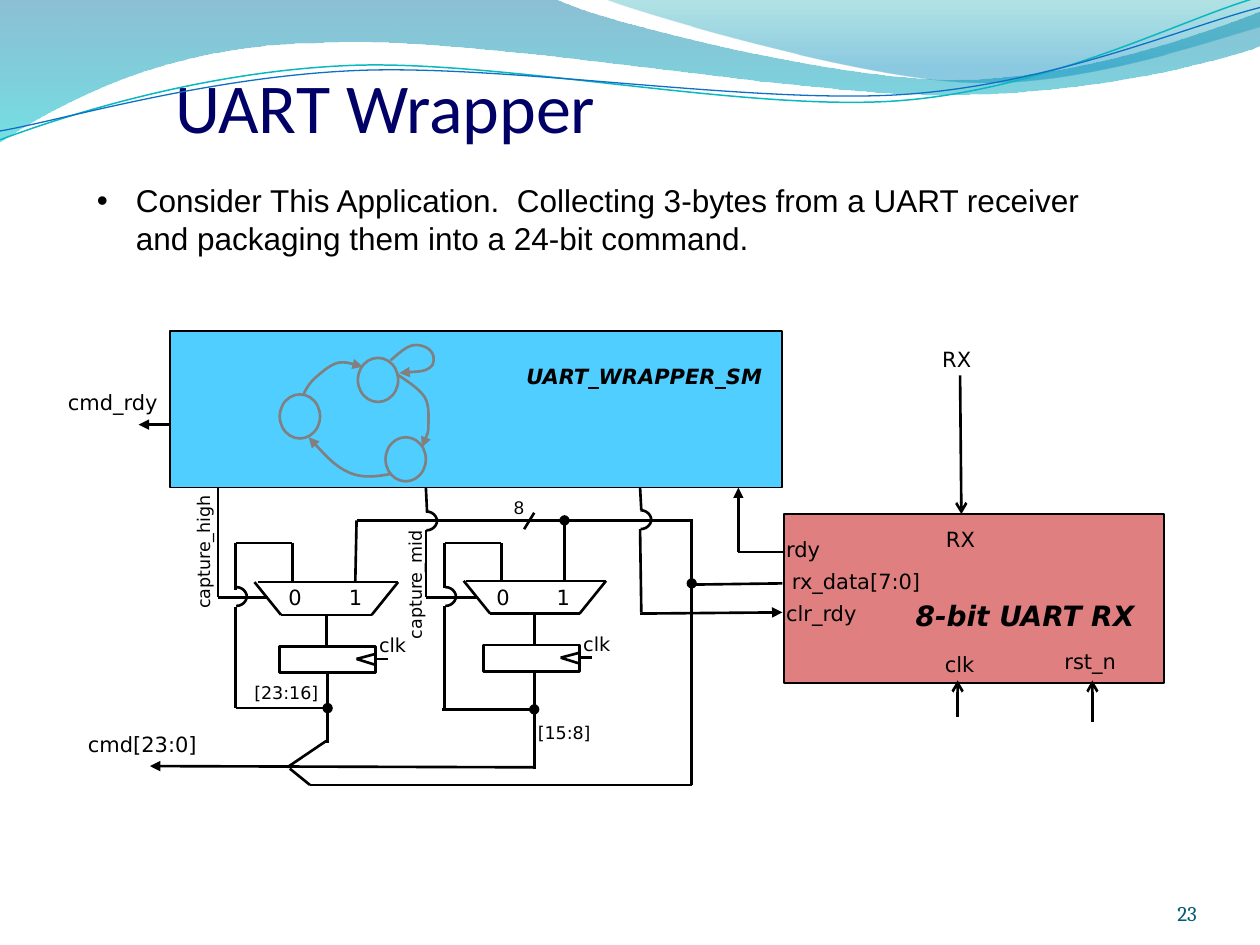
import math
import pptx
import pptx.util
import pptx.dml.color
import pptx.enum.shapes
import pptx.enum.text
from lxml import etree

SHAPE = pptx.enum.shapes.MSO_SHAPE
ALIGN = pptx.enum.text.PP_ALIGN
ANCHOR = pptx.enum.text.MSO_ANCHOR
AUTO = pptx.enum.text.MSO_AUTO_SIZE
NS = "http://schemas.openxmlformats.org/drawingml/2006/main"
BLACK, GREY = "000000", "808080"
SANS = "DejaVu Sans"

# Content: header waves as start point and Bezier triples (a single point is a straight edge)
BANDS = [
    ((0, -0.01), [[(4.4, -0.01)],
     [(4.76, 0.17), (6.64, 0.63), (7.58, 0.63)], [(8.53, 0.63), (9.58, 0.26), (10, 0.09)],
     [(10.01, 0.36)], [(9.83, 0.44), (8.7, 0.76), (7.46, 0.75)],
     [(6.22, 0.75), (3.82, 0.28), (2.57, 0.34)], [(1.29, 0.35), (0.46, 0.83), (-0.01, 1.13)],
     [(0, -0.01)]], [(0, "0074A1", 45), (1, "00C6CF", 55)]),
    ((4.79, -0.01), [[(5.09, 0.11), (6.82, 0.62), (7.69, 0.65)],
     [(8.56, 0.69), (9.61, 0.32), (10, 0.21)], [(10, 0)], [(4.79, -0.01)]],
     [(0, "00A1A9", 30), (0.8, "008BBF", 45)]),
]
WAVE_TURN = -2.7
WAVES = [
    ((0, 1.11), [[(0.48, 0.93), (1.58, 0.57), (2.77, 0.52)], [(3.95, 0.47), (5.93, 0.89), (7.13, 0.8)],
     [(8.33, 0.71), (9.38, 0.15), (9.98, -0.02)]], (4.99, 0.57), "0AB8BF", 0.85),
    ((0, 1.04), [[(0.47, 0.96), (1.64, 0.61), (2.83, 0.56)], [(4.03, 0.51), (5.97, 0.83), (7.17, 0.75)],
     [(8.36, 0.67), (9.41, 0.21), (10, 0.06)]], (5, 0.59), "0F6FC6", 0.75),
]

# Content: state machine
STATES = [(2.22, 3.13), (2.84, 2.84), (3.06, 3.47)]
TRANSITIONS = [
    ((2.41, 3.13), [[(2.43, 3.08), (2.46, 3.04), (2.5, 3)], [(2.55, 2.96), (2.61, 2.9), (2.68, 2.88)],
                    [(2.74, 2.87), (2.81, 2.89), (2.88, 2.91)]]),
    ((3.15, 2.97), [[(3.24, 3.03), (3.32, 3.08), (3.37, 3.15)], [(3.41, 3.22), (3.4, 3.31), (3.4, 3.38)],
                    [(3.4, 3.44), (3.36, 3.52), (3.35, 3.55)]]),
    ((3.1, 2.86), [[(3.16, 2.81), (3.22, 2.75), (3.28, 2.74)], [(3.34, 2.73), (3.41, 2.76), (3.43, 2.8)],
                   [(3.45, 2.83), (3.45, 2.9), (3.41, 2.92)], [(3.37, 2.95), (3.27, 2.95), (3.17, 2.96)]]),
    ((3.11, 3.76), [[(3, 3.78), (2.88, 3.8), (2.77, 3.75)], [(2.66, 3.7), (2.56, 3.59), (2.45, 3.47)]]),
]

# Content: labels as text, box, format
BOLD = dict(bold=True, italic=True)
LABELS = [
    ("rdy", (6.14, 4.21, 0.48, 0.3), {}),
    ("rx_data[7:0]", (6.14, 4.46, 1.31, 0.3), dict(align=ALIGN.CENTER)),
    ("clr_rdy", (6.14, 4.72, 0.82, 0.3), {}),
    ("8-bit UART RX", (7.14, 4.7, 1.99, 0.37), dict(size=16, align=ALIGN.CENTER, **BOLD)),
    ("RX", (7.41, 4.13, 0.44, 0.3), {}),
    ("RX", (7.38, 2.7, 0.44, 0.3), {}),
    ("rst_n", (8.35, 5.1, 0.64, 0.3), {}),
    ("clk", (7.4, 5.12, 0.44, 0.3), {}),
    ("UART_WRAPPER_SM", (4.08, 2.84, 2.18, 0.3), BOLD),
    ("8", (3.98, 3.89, 0.3, 0.28), dict(size=10.5, font="Arial")),
    ("cmd_rdy", (0.44, 3.04, 0.97, 0.3), {}),
    ("cmd[23:0]", (0.6, 5.76, 1.14, 0.3), {}),
    ("[23:16]", (1.92, 5.36, 0.75, 0.27), dict(size=10)),
    ("[15:8]", (4.17, 5.68, 0.66, 0.27), dict(size=10)),
    ("capture_high", (1.05, 4.23, 1.13, 0.27), dict(size=10, turn=270)),
    ("capture_mid", (2.75, 4.49, 1.09, 0.27), dict(size=10, turn=270)),
]

# Content: wires as x1, y1, x2, y2, start end mark, finish end mark
WIRES = [
    (7.62, 2.98, 7.63, 4.08, None, "arrow"), (7.6, 5.69, 7.6, 5.4, None, "arrow"),
    (8.67, 5.73, 8.67, 5.4, None, "arrow"),
    (6.21, 4.63, 5.49, 4.64), (5.49, 4.63, 5.49, 4.13), (5.5, 4.13, 2.83, 4.13),
    (5.09, 4.05, 5.08, 3.87), (5.08, 4.2, 5.09, 4.86), (5.08, 4.87, 6.21, 4.86, None, "triangle"),
    (6.22, 4.38, 5.86, 4.38), (5.86, 4.38, 5.86, 3.87, None, "triangle"),
    (1.73, 4.74, 1.73, 3.87), (3.38, 4.74, 3.38, 4.21), (3.39, 4.07, 3.38, 3.87),
    (4.24, 4.07, 4.16, 4.2), (1.34, 3.37, 1.1, 3.37, None, "triangle"),
    (4.24, 6.09, 1.19, 6.08, None, "triangle"), (2.59, 5.88, 2.28, 6.09),
    (5.49, 4.63, 5.49, 6.23, "oval"), (5.49, 6.23, 2.46, 6.23), (2.46, 6.23, 2.3, 6.1),
    (2.6, 5.35, 2.6, 5.9), (4.24, 5.33, 4.24, 6.1),
    (2.6, 5.62, 1.87, 5.62, "oval"), (4.24, 5.63, 3.51, 5.63, "oval"),
    (2.82, 4.62, 2.83, 4.13), (4.48, 4.62, 4.48, 4.13, None, "oval"),
]
HOPS = [(1.79, 4.65), (3.45, 4.65), (5, 4.04), (3.3, 4.05)]

# Byte stages: columns (select, loop, left, top left, foot left, zero, middle, foot right, right), rows
STAGES = [
    ((1.73, 1.87, 2.02, 2.05, 2.23, 2.32, 2.59, 2.95, 3.16), (4.62, 4.88, 5.13, 5.62)),
    ((3.38, 3.53, 3.68, 3.7, 3.89, 3.98, 4.24, 4.6, 4.81), (4.61, 4.87, 5.12, 5.63)),
]
FEEDBACK_TOP, SELECT_ROW = 4.31, 4.74
REGISTER_ORIGINS = [(2.22, 5.13), (3.84, 5.12)]
CLOCK_WIRES = [(0.76, 0.06, 0.61, 0.1), (0.77, 0.15, 0.61, 0.1), (0.76, 0.1, 0.86, 0.1)]

deck = pptx.Presentation()
deck.slide_width, deck.slide_height = pptx.util.Inches(10), pptx.util.Inches(7.5)
page = deck.slides.add_slide(deck.slide_layouts[5])


def inches(values):
    return [pptx.util.Inches(value) for value in values]


def colour(value):
    return pptx.dml.color.RGBColor.from_string(value)


def add_child(parent, tag, **attributes):
    return etree.SubElement(parent, f"{{{NS}}}{tag}", **attributes)


def set_alpha(shape, percents):
    for node, percent in zip(shape._element.spPr.iter(f"{{{NS}}}srgbClr"), percents):
        add_child(node, "alpha", val=str(percent * 1000))


def set_line(item, value, width, head=None, tail=None):
    item.line.color.rgb = colour(value)
    item.line.width = pptx.util.Pt(width)
    for tag, kind in (("headEnd", head), ("tailEnd", tail)):
        if kind:
            add_child(item.line._get_or_add_ln(), tag, type=kind)


def wire(x1, y1, x2, y2, head=None, tail=None):
    line = page.shapes.add_connector(pptx.enum.shapes.MSO_CONNECTOR.STRAIGHT, *inches((x1, y1, x2, y2)))
    set_line(line, BLACK, 1.5, head, tail)
    add_child(line._element.spPr, "effectLst")


def block(kind, place, fill=None, line=BLACK, width=1.5):
    shape = page.shapes.add_shape(kind, *inches(place))
    shape.shadow.inherit = False
    if fill:
        shape.fill.solid()
        shape.fill.fore_color.rgb = colour(fill)
    else:
        shape.fill.background()
    set_line(shape, line, width)
    return shape


def curve(start, pieces, closed=False):
    builder = page.shapes.build_freeform(*inches(start))
    builder.add_line_segments([inches(piece[-1]) for piece in pieces], close=closed)
    shape = builder.convert_to_shape()
    # Turn each edge that has control points into a Bezier segment
    edges = list(shape._element.spPr.iter(f"{{{NS}}}lnTo"))
    for edge, piece in zip(edges, pieces):
        if len(piece) == 3:
            bend = etree.Element(f"{{{NS}}}cubicBezTo")
            for x, y in (inches(point) for point in piece):
                add_child(bend, "pt", x=str(x - shape.left), y=str(y - shape.top))
            edge.getparent().replace(edge, bend)
    shape.shadow.inherit = False
    shape.fill.background()
    return shape


def turned(point, centre, degrees):
    angle = math.radians(degrees)
    dx, dy = point[0] - centre[0], point[1] - centre[1]
    return (centre[0] + dx * math.cos(angle) - dy * math.sin(angle),
            centre[1] + dx * math.sin(angle) + dy * math.cos(angle))


def write(text, place, box=None, size=12, font=SANS, ink=BLACK, bold=False, italic=False,
          align=ALIGN.LEFT, anchor=ANCHOR.TOP, wrap=False, grow=True, inset=None, turn=0):
    box = box or page.shapes.add_textbox(*inches(place))
    box.left, box.top, box.width, box.height = inches(place)
    box.rotation = turn
    frame = box.text_frame
    frame.word_wrap, frame.vertical_anchor = wrap, anchor
    frame.auto_size = AUTO.SHAPE_TO_FIT_TEXT if grow else AUTO.NONE
    if inset is not None:
        frame.margin_left = frame.margin_right = frame.margin_top = frame.margin_bottom = inset
    para = frame.paragraphs[0]
    para.alignment = align
    span = para.add_run()
    span.text = text
    span.font.size, span.font.name = pptx.util.Pt(size), font
    span.font.bold, span.font.italic = bold, italic
    span.font.color.rgb = colour(ink)
    return para


# Header waves
for start, pieces, stops in BANDS:
    band = curve(start, pieces, closed=True)
    band.line.fill.background()
    band.fill.gradient()
    band.fill.gradient_angle = 270
    for stop, (position, value, alpha) in zip(band.fill.gradient_stops, stops):
        stop.position, stop.color.rgb = position, colour(value)
    set_alpha(band, [stop[2] for stop in stops])
for start, pieces, centre, value, width in WAVES:
    level = [[turned(point, centre, -WAVE_TURN) for point in piece] for piece in pieces]
    wave = curve(turned(start, centre, -WAVE_TURN), level)
    wave.rotation = WAVE_TURN
    set_line(wave, value, width)

# Title, bullet and page number
write("UART Wrapper", (1.29, 0.36, 5.86, 0.86), box=page.shapes.title, size=40, font="Calibri",
      ink="000066", anchor=ANCHOR.BOTTOM, wrap=True, grow=False)
bullet = write("Consider This Application.  Collecting 3-bytes from a UART receiver and packaging "
               "them into a 24-bit command.", (0.67, 1.39, 8.42, 0.71), size=18, font="Arial", wrap=True)
layout = bullet._p.get_or_add_pPr()
indent = pptx.util.Inches(0.31)
layout.set("marL", str(indent))
layout.set("indent", str(-indent))
add_child(layout, "buFont", typeface="Arial")
add_child(layout, "buChar", char="•")
write("23", (8.67, 6.95, 0.83, 0.4), font="Cambria", ink="045C75", align=ALIGN.RIGHT,
      anchor=ANCHOR.BOTTOM, wrap=True, grow=False, inset=0)

# Receiver and state machine
receiver = block(SHAPE.RECTANGLE, (6.22, 4.08, 3.02, 1.34), fill="C00000", width=1)
set_alpha(receiver, [50])
block(SHAPE.RECTANGLE, (1.35, 2.63, 4.86, 1.24), fill="4FCEFF", width=1)
for x, y in STATES:
    block(SHAPE.OVAL, (x, y, 0.32, 0.35), line=GREY)
for start, pieces in TRANSITIONS:
    set_line(curve(start, pieces), GREY, 1.5, tail="triangle")

# Byte stages: multiplexer with feedback loop, then register
for (select, loop, left, top_left, foot_left, zero, middle, foot_right, right), rows in STAGES:
    top, foot, store, tap = rows
    for ends in [(foot_left, foot, left, top), (select + 0.4, SELECT_ROW, select, SELECT_ROW),
                 (foot_right, foot, right, top), (top_left, top, right, top),
                 (foot_left, foot, foot_right, foot), (middle, foot, middle, store),
                 (zero, top, zero, FEEDBACK_TOP), (loop, top + 0.06, loop, FEEDBACK_TOP),
                 (loop, FEEDBACK_TOP, zero, FEEDBACK_TOP), (loop, top + 0.2, loop, tap)]:
        wire(*ends)
    for text, shift in (("0", -0.4), ("1", 0.08)):
        write(text, (middle + shift, 4.59, 0.31, 0.3))
for x, y in REGISTER_ORIGINS:
    block(SHAPE.RECTANGLE, (x, y, 0.76, 0.21))
    for x1, y1, x2, y2 in CLOCK_WIRES:
        wire(x + x1, y + y1, x + x2, y + y2)
    write("clk", (x + 0.69, y - 0.15, 0.42, 0.28), size=11)

# Wires, hops over crossings, labels
for ends in WIRES:
    wire(*ends)
for x, y in HOPS:
    block(SHAPE.ARC, (x, y + 0.01, 0.17, 0.16))
    lower = block(SHAPE.ARC, (x, y, 0.17, 0.16))
    lower._element.spPr.find(f"{{{NS}}}xfrm").set("flipV", "1")
for text, place, style in LABELS:
    write(text, place, **style)

deck.save("out.pptx")
